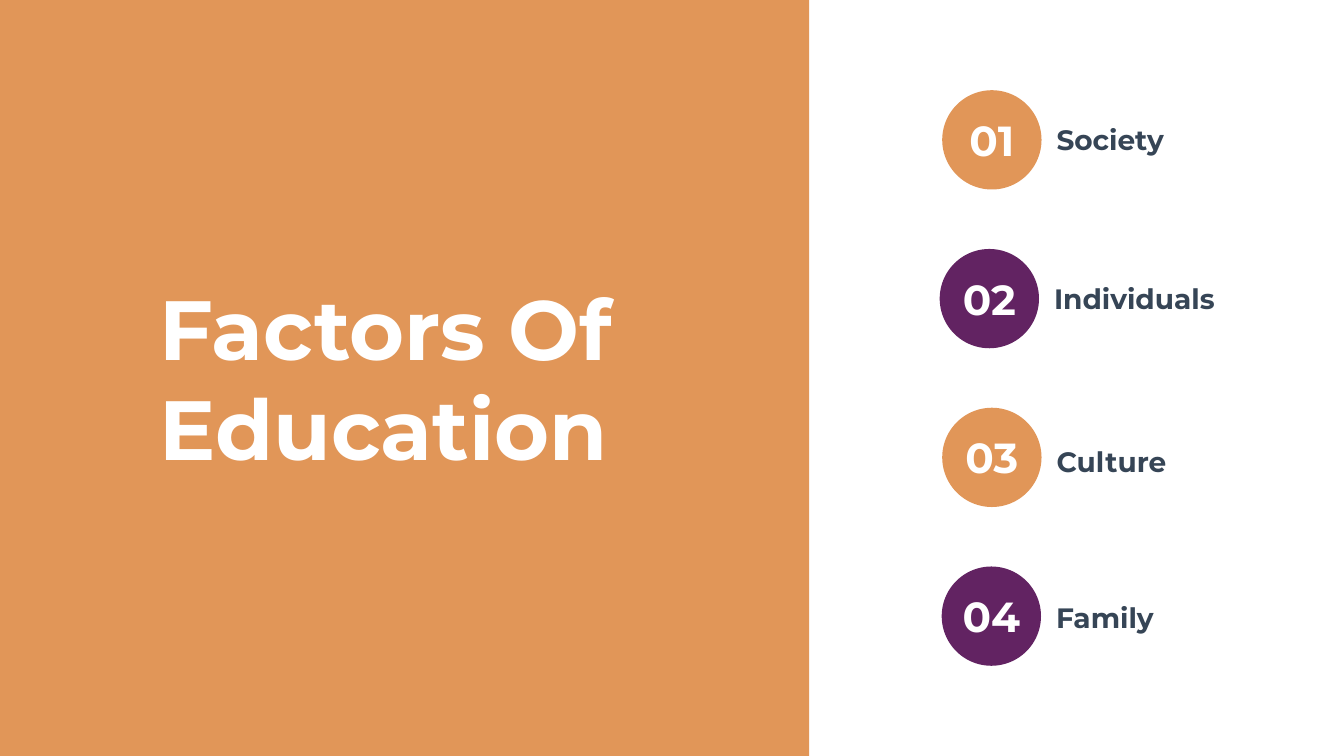
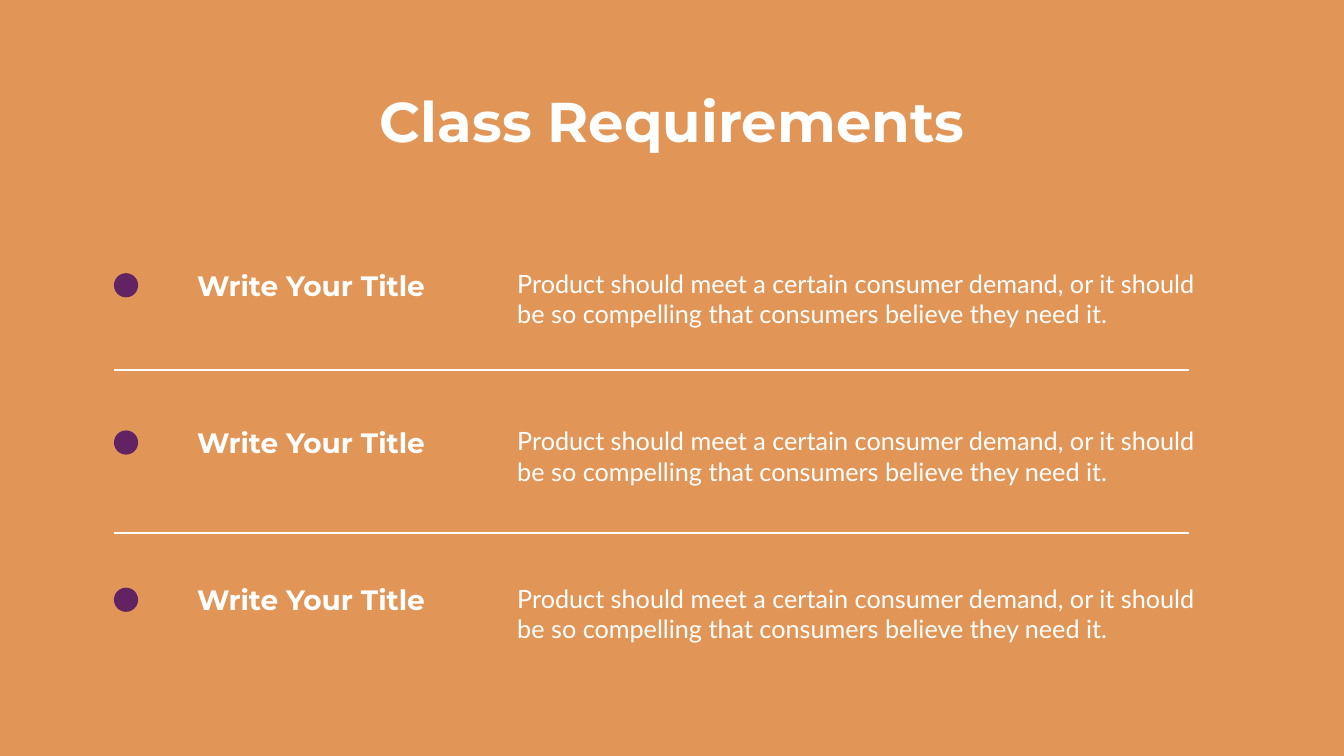
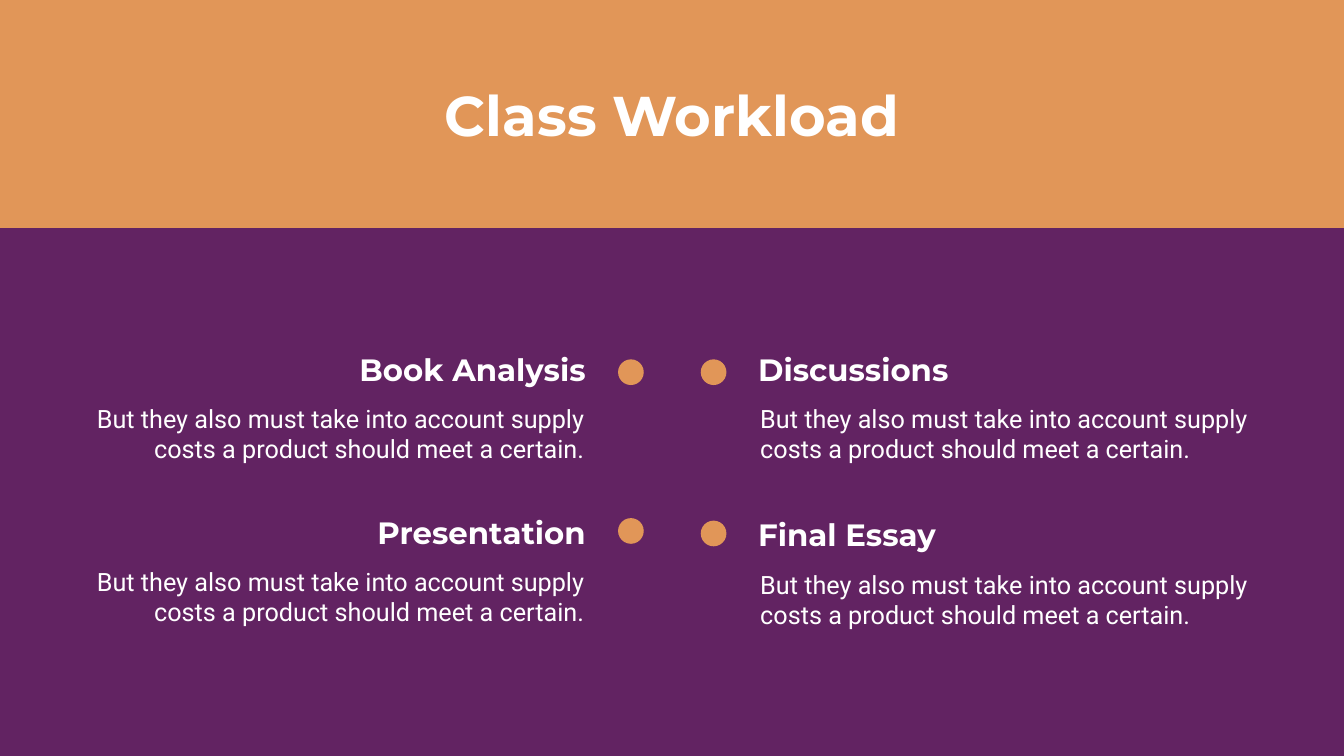
from pptx import Presentation
from pptx.dml.color import RGBColor
from pptx.enum.shapes import MSO_CONNECTOR, MSO_SHAPE
from pptx.enum.text import MSO_ANCHOR, MSO_AUTO_SIZE, PP_ALIGN
from pptx.util import Inches, Pt
from lxml import etree

ORANGE = RGBColor(0xE1, 0x96, 0x58)
PURPLE = RGBColor(0x62, 0x23, 0x62)
SLATE = RGBColor(0x36, 0x45, 0x56)
WHITE = RGBColor(0xFF, 0xFF, 0xFF)

HEAD_FONT = "Montserrat"
LEFT, CENTER, RIGHT = PP_ALIGN.LEFT, PP_ALIGN.CENTER, PP_ALIGN.RIGHT
TOP = MSO_ANCHOR.TOP
GROW = MSO_AUTO_SIZE.SHAPE_TO_FIT_TEXT
RECT, OVAL = MSO_SHAPE.RECTANGLE, MSO_SHAPE.OVAL
STRAIGHT = MSO_CONNECTOR.STRAIGHT
TITLE_ONLY = 5

SLIDE_W, SLIDE_H = 26.66, 15
A_NS = "http://schemas.openxmlformats.org/drawingml/2006/main"

FACTORS_TITLE_BOX = (3.06, 5.43, 9.92, 4.14)
REQUIREMENTS_TITLE_BOX = (7.01, 1.66, 12.65, 1.45)
WORKLOAD_TITLE_BOX = (7.56, 1.54, 11.54, 1.45)

# name, circle left, label offset below the circle top
FACTORS = [
    ("Society", 18.69, 0.6),
    ("Individuals", 18.64, 0.6),
    ("Culture", 18.69, 0.68),
    ("Family", 18.68, 0.63),
]
REQUIREMENT = "Write Your Title"
REQUIREMENT_TEXT = ("Product should meet a certain consumer demand, or it should "
                    "be so compelling that consumers believe they need it.")
WORKLOAD_TEXT = ("But they also must take into account supply "
                 "costs a product should meet a certain.")
# heading, side, top, dot offset below the top
WORKLOAD = [
    ("Book Analysis", RIGHT, 6.91, 0.22),
    ("Presentation", RIGHT, 10.14, 0.14),
    ("Discussions", LEFT, 6.91, 0.22),
    ("Final Essay", LEFT, 10.19, 0.14),
]


def inches(box):
    return [Inches(v) for v in box]


def add_block(slide, kind, box, color):
    sp = slide.shapes.add_shape(kind, *inches(box))
    sp.shadow.inherit = False
    sp.fill.solid()
    sp.fill.fore_color.rgb = color
    sp.line.fill.background()
    return sp


def write(tf, text, size, color=WHITE, font=HEAD_FONT, bold=True, align=LEFT):
    tf.word_wrap = True
    tf.auto_size = GROW
    tf.vertical_anchor = TOP
    p = tf.paragraphs[0]
    p.alignment = align
    r = p.add_run()
    r.text = text
    r.font.size = Pt(size)
    r.font.name = font
    r.font.bold = bold
    r.font.color.rgb = color
    return p


def add_text(slide, box, text, size, **style):
    tf = slide.shapes.add_textbox(*inches(box)).text_frame
    write(tf, text, size, **style)


def add_body(slide, box, text, font, align=LEFT):
    tf = slide.shapes.add_textbox(*inches(box)).text_frame
    tf.margin_left = tf.margin_right = Inches(0.24)
    tf.margin_top = tf.margin_bottom = Inches(0.12)
    p = write(tf, text, 36, font=font, bold=False, align=align)
    p.line_spacing = Pt(43)


def add_rule(slide, x1, x2, y):
    line = slide.shapes.add_connector(STRAIGHT, *inches((x1, y, x2, y)))
    line.line.color.rgb = WHITE
    line.line.width = Pt(3)
    etree.SubElement(line.element.spPr, f"{{{A_NS}}}effectLst")


def add_title(slide, box, text, size=80, align=CENTER):
    """Fill the title placeholder and bring it in front of the panels."""
    title = slide.shapes.title
    title.left, title.top, title.width, title.height = inches(box)
    write(title.text_frame, text, size, align=align)
    title.element.getparent().append(title.element)


def new_slide(prs):
    return prs.slides.add_slide(prs.slide_layouts[TITLE_ONLY])


def add_factor(slide, left, top, number, name, label_dy, color):
    size = 1.97
    add_text(slide, (left + 2.17, top + label_dy, 3.77, 0.77), name, 40, color=SLATE)
    add_block(slide, OVAL, (left, top, size, size), color)
    add_text(slide, (left, top + 0.43, size, 1.11), f"{number:02}", 60, align=CENTER)


def add_requirement(slide, left, top):
    add_text(slide, (left + 1.55, top + 0.06, 4.77, 0.77), REQUIREMENT, 40)
    add_body(slide, (left + 7.76, top, 14.38, 1.45), REQUIREMENT_TEXT, "Lato")
    add_block(slide, OVAL, (left, top + 0.21, 0.48, 0.48), PURPLE)


def add_task(slide, heading, align, top, dot_dy):
    """Place one task; right-aligned tasks stand left of the middle."""
    body_x, head_x, dot_x = (1.23, 6.95, 12.26) if align == RIGHT else (14.84, 14.94, 13.9)
    add_body(slide, (body_x, top + 0.98, 10.6, 1.45), WORKLOAD_TEXT, "Roboto", align)
    add_text(slide, (head_x, top, 4.77, 0.84), heading, 44, align=align)
    add_block(slide, OVAL, (dot_x, top + dot_dy, 0.51, 0.51), ORANGE)


def build_factors(prs):
    slide = new_slide(prs)
    add_block(slide, RECT, (0, 0, 16.05, SLIDE_H), ORANGE)
    add_title(slide, FACTORS_TITLE_BOX, "Factors Of Education", 120, LEFT)
    for i, (name, left, label_dy) in enumerate(FACTORS):
        color = PURPLE if i % 2 else ORANGE
        add_factor(slide, left, 1.79 + 3.15 * i, i + 1, name, label_dy, color)


def build_requirements(prs):
    slide = new_slide(prs)
    left = 2.26
    add_block(slide, RECT, (0, 0, SLIDE_W, SLIDE_H), ORANGE)
    add_title(slide, REQUIREMENTS_TITLE_BOX, "Class Requirements")
    for i in range(3):
        add_requirement(slide, left, 5.21 + 3.12 * i)
    for y in (7.35, 10.58):
        add_rule(slide, left, left + 21.32, y)


def build_workload(prs):
    slide = new_slide(prs)
    band_h = 4.52
    add_block(slide, RECT, (0, band_h, SLIDE_W, SLIDE_H - band_h), PURPLE)
    for task in WORKLOAD:
        add_task(slide, *task)
    add_block(slide, RECT, (0, 0, SLIDE_W, band_h), ORANGE)
    add_title(slide, WORKLOAD_TITLE_BOX, "Class Workload")


def main():
    prs = Presentation()
    prs.slide_width, prs.slide_height = Inches(SLIDE_W), Inches(SLIDE_H)
    build_factors(prs)
    build_requirements(prs)
    build_workload(prs)
    prs.save("out.pptx")


if __name__ == "__main__":
    main()
